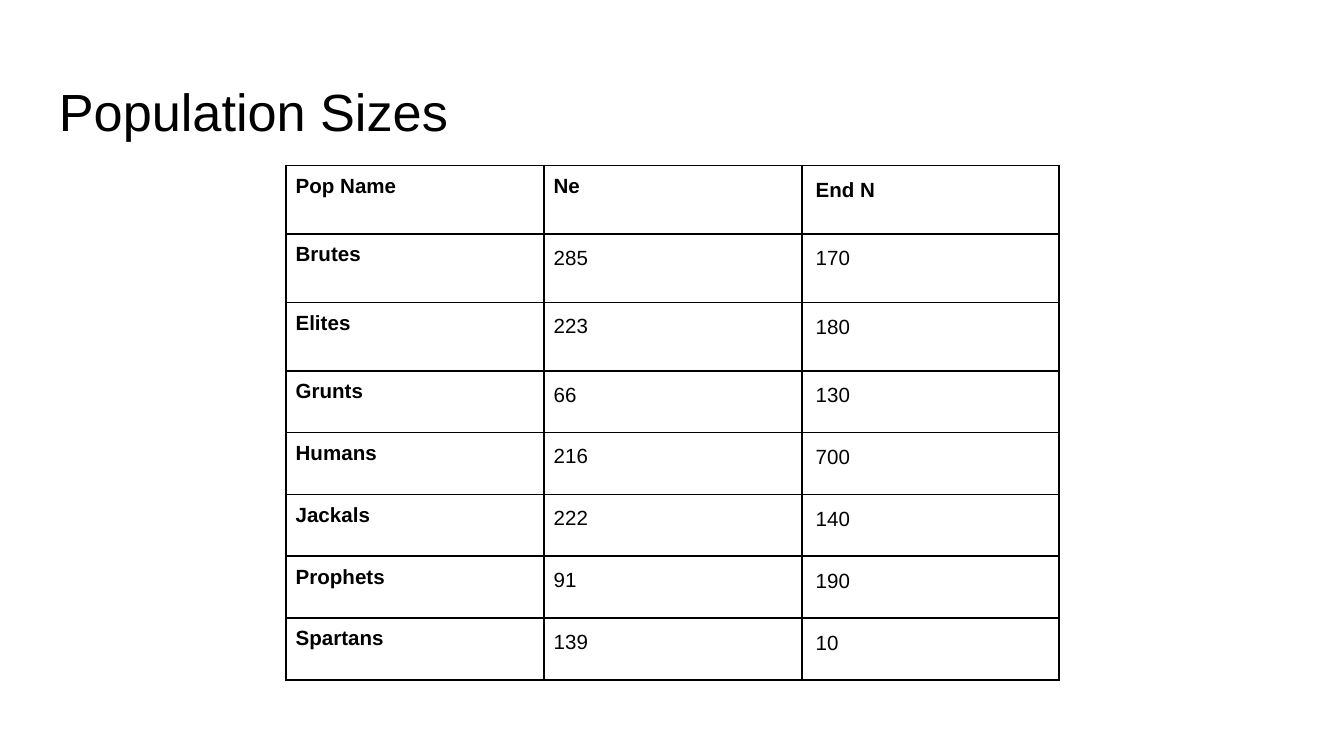
from lxml.etree import SubElement
from pptx import Presentation
from pptx.dml.color import RGBColor as Rgb
from pptx.enum.text import MSO_ANCHOR as Anchor
from pptx.oxml.ns import qn
from pptx.util import Inches, Pt

TITLE = "Population Sizes"
ROWS = [
    ("Pop Name", "Ne", "End N"),
    ("Brutes", "285", "170"),
    ("Elites", "223", "180"),
    ("Grunts", "66", "130"),
    ("Humans", "216", "700"),
    ("Jackals", "222", "140"),
    ("Prophets", "91", "190"),
    ("Spartans", "139", "10"),
]
COLORS = {"ink": "000000", "paper": "FFFFFF"}
FONT = "Arial"
WIDTH = 10
HEIGHT = WIDTH * 9 / 16
TITLE_BOX = (0.34, 0.49, 9.32, 0.63)
TABLE_LEFT, TABLE_TOP = 2.13, 1.23
COLUMN_WIDTHS = [1.92, 1.92, 1.91]
ROW_HEIGHTS = [0.51] * 3 + [0.46] * 5
CELL_INSETS = [0.07, 0.07, 0.1]
SIDES = ("left", "top", "right", "bottom")


def write(para, text, size, bold=False):
    span = para.add_run()
    span.text = text
    formats = {"name": FONT, "size": Pt(size), "bold": bold}
    for name, value in formats.items():
        setattr(span.font, name, value)
    span.font.color.rgb = Rgb.from_string(COLORS["ink"])


def set_insets(target, inset):
    for side in SIDES:
        setattr(target, f"margin_{side}", Inches(inset))


def add_borders(cell):
    properties = cell._tc.get_or_add_tcPr()
    for tag in ("a:lnL", "a:lnR", "a:lnT", "a:lnB"):
        line = SubElement(properties, qn(tag), w=str(Pt(1)))
        fill = SubElement(line, qn("a:solidFill"))
        SubElement(fill, qn("a:srgbClr"), val=COLORS["ink"])


def add_title(page):
    box = page.shapes.add_textbox(*map(Inches, TITLE_BOX))
    frame = box.text_frame
    frame.word_wrap = True
    frame.vertical_anchor = Anchor.TOP
    set_insets(frame, 0.1)
    write(frame.paragraphs[0], TITLE, 28)


def add_population_table(page):
    place = (TABLE_LEFT, TABLE_TOP, sum(COLUMN_WIDTHS), sum(ROW_HEIGHTS))
    table = page.shapes.add_table(
        len(ROWS), len(COLUMN_WIDTHS), *map(Inches, place)).table
    table.horz_banding = False
    for column, width in zip(table.columns, COLUMN_WIDTHS):
        column.width = Inches(width)
    for row, height in zip(table.rows, ROW_HEIGHTS):
        row.height = Inches(height)

    for r, values in enumerate(ROWS):
        for c, text in enumerate(values):
            cell = table.cell(r, c)
            set_insets(cell, CELL_INSETS[c])
            add_borders(cell)
            cell.fill.solid()
            cell.fill.fore_color.rgb = Rgb.from_string(COLORS["paper"])
            para = cell.text_frame.paragraphs[0]
            if r > 0 and c == 1:
                para.line_spacing = 1.15
            write(para, text, 11, bold=r == 0 or c == 0)


def main():
    deck = Presentation()
    deck.slide_width, deck.slide_height = Inches(WIDTH), Inches(HEIGHT)
    page = deck.slides.add_slide(deck.slide_layouts[6])
    add_title(page)
    add_population_table(page)
    deck.save("out.pptx")


if __name__ == "__main__":
    main()
